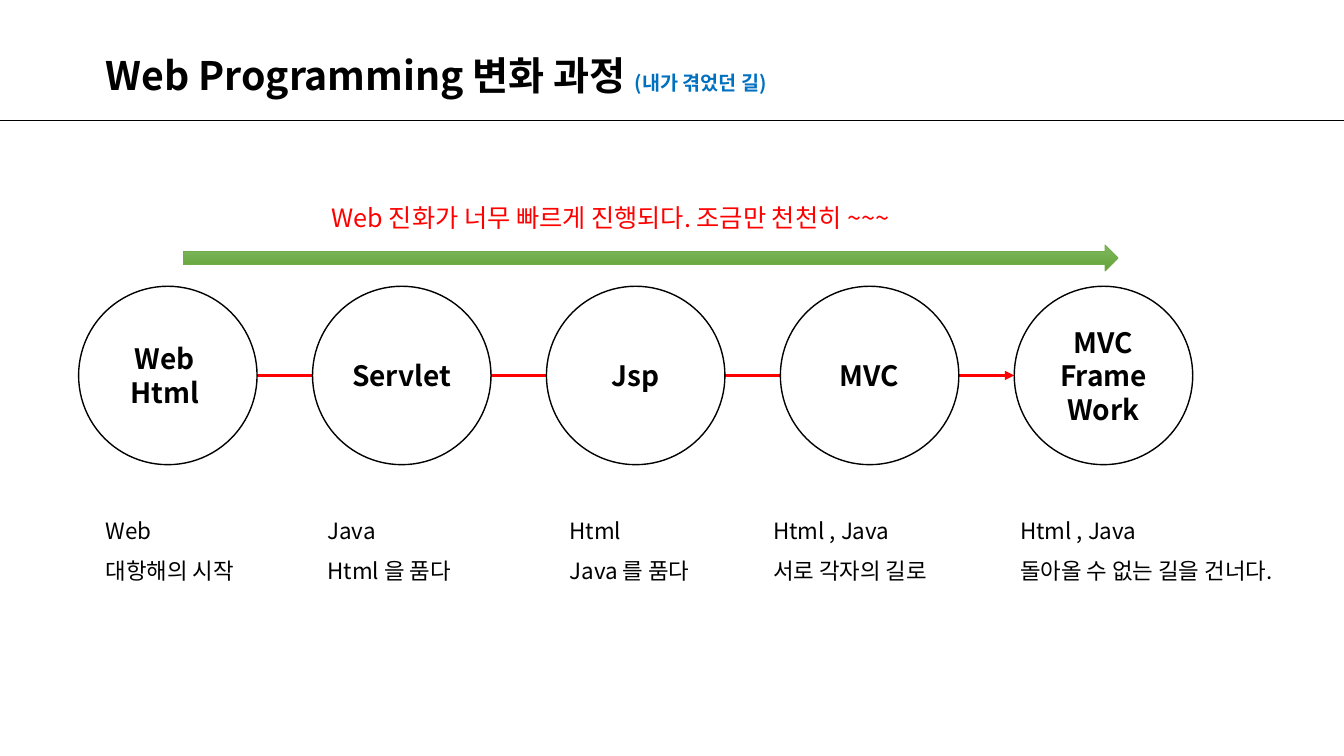
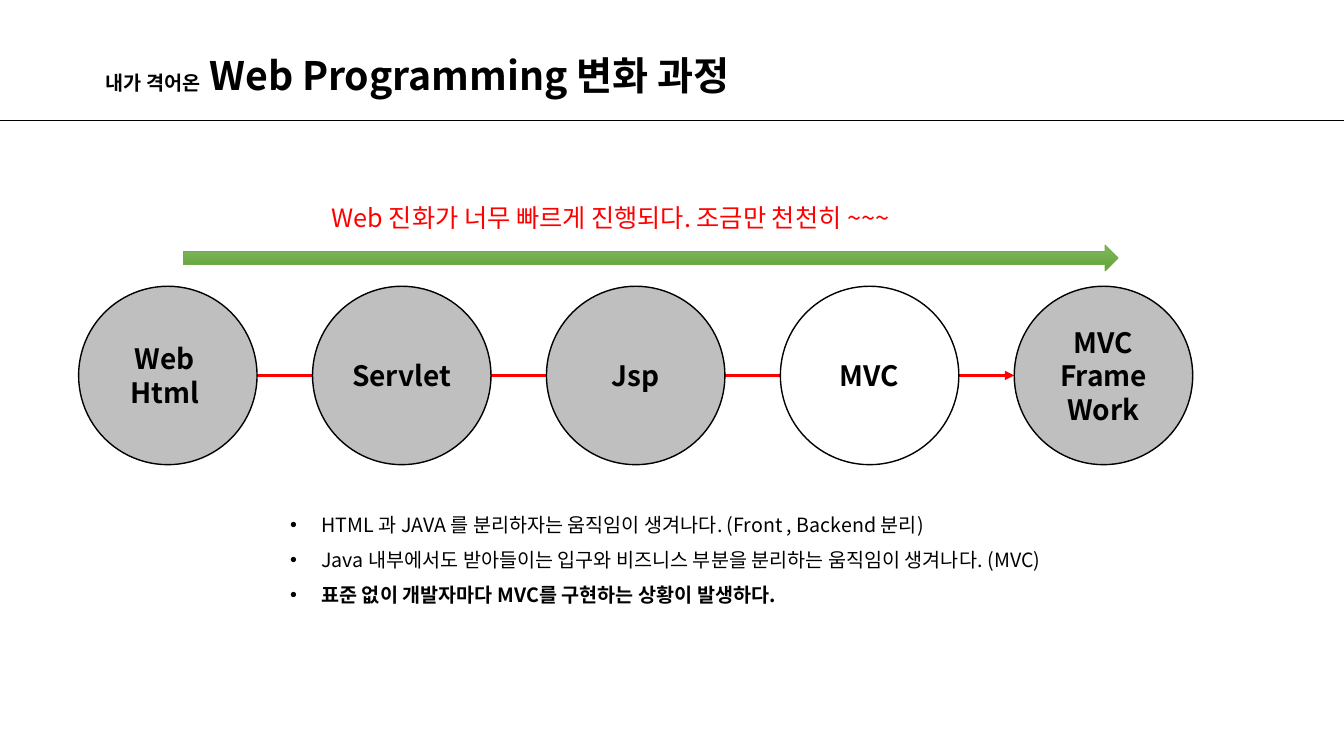
from lxml.etree import SubElement
from pptx import Presentation
from pptx.dml.color import RGBColor
from pptx.enum.shapes import MSO_CONNECTOR, MSO_SHAPE
from pptx.enum.text import MSO_ANCHOR, PP_ALIGN
from pptx.oxml.ns import qn
from pptx.util import Inches, Pt

BLACK = RGBColor(0x00, 0x00, 0x00)
WHITE = RGBColor(0xFF, 0xFF, 0xFF)
GREY = RGBColor(0xBF, 0xBF, 0xBF)
RED = RGBColor(0xFF, 0x00, 0x00)
BLUE = RGBColor(0x00, 0x70, 0xC0)
GREEN = RGBColor(0x70, 0xAD, 0x47)
LIGHT_GREEN = RGBColor(0x81, 0xB8, 0x61)
DARK_GREEN = RGBColor(0x62, 0xA3, 0x36)
FONT = "Noto Sans CJK KR"

WIDTH, HEIGHT = 13.33, 7.5
RULE_Y = 1.19
DIAMETER = 1.77
FIRST_LEFT, COLUMN = 0.78, 2.32
CIRCLE_TOP = 2.84
MIDDLE = CIRCLE_TOP + DIAMETER / 2
INDENT = 0.31

STAGES = [["Web ", "Html "], ["Servlet"], ["Jsp"], ["MVC"], ["MVC", "FrameWork"]]
SLOGAN = "Web 진화가 너무 빠르게 진행되다. 조금만 천천히 ~~~"

# Left, width and lines of the caption below each stage
CAPTIONS = [
    (0.95, 1.63, ["Web", "대항해의 시작"]),
    (3.15, 1.53, ["Java", "Html 을 품다"]),
    (5.55, 1.45, ["Html", "Java 를 품다"]),
    (7.57, 1.93, ["Html , Java", "서로 각자의 길로"]),
    (10.02, 3.03, ["Html , Java", "돌아올 수 없는 길을 건너다."]),
]
BULLETS = [
    ("HTML 과 JAVA 를 분리하자는 움직임이 생겨나다. (Front , Backend 분리)", False),
    ("Java 내부에서도 받아들이는 입구와 비즈니스 부분을 분리하는 움직임이 생겨나다. (MVC)", False),
    ("표준 없이 개발자마다 MVC를 구현하는 상황이 발생하다.", True),
]

# Title runs (text, size, colour) and the fill of each stage
PAGES = [
    ([("Web Programming 변화 과정 ", 28, BLACK), ("(내가 겪었던 길)", 14, BLUE)],
     [WHITE] * 5),
    ([("내가 격어온", 14, BLACK), (" Web Programming 변화 과정", 28, BLACK)],
     [GREY, GREY, GREY, WHITE, GREY]),
]


def write(shape, paragraphs, spacing=None, align=PP_ALIGN.LEFT):
    """Fill a shape with paragraphs, each a list of (text, size, colour, bold) runs."""
    frame = shape.text_frame
    frame.word_wrap = True
    for index, runs in enumerate(paragraphs):
        para = frame.paragraphs[0] if index == 0 else frame.add_paragraph()
        para.alignment = align
        if spacing:
            para.line_spacing = spacing
        for text, size, colour, bold in runs:
            span = para.add_run()
            span.text = text
            span.font.size = Pt(size)
            span.font.bold = bold
            span.font.color.rgb = colour
            span.font.name = FONT
            SubElement(span.font._element, qn("a:ea"), typeface=FONT)
    return frame


def add_line(page, left, right, y, colour, weight):
    line = page.shapes.add_connector(
        MSO_CONNECTOR.STRAIGHT, Inches(left), Inches(y), Inches(right), Inches(y))
    line.line.color.rgb = colour
    line.line.width = Pt(weight)
    SubElement(line._element.spPr, qn("a:effectLst"))
    return line


deck = Presentation()
deck.slide_width, deck.slide_height = Inches(WIDTH), Inches(HEIGHT)

for number, (title, fills) in enumerate(PAGES):
    page = deck.slides.add_slide(deck.slide_layouts[6])
    shapes = page.shapes

    # Title band
    add_line(page, 0, WIDTH, RULE_Y, BLACK, 0.5)
    box = shapes.add_textbox(Inches(0.95), Inches(0.46), Inches(7.41), Inches(0.57))
    write(box, [[(*run, True) for run in title]])

    # Chain of stages
    chain = add_line(page, FIRST_LEFT + DIAMETER, FIRST_LEFT + 4 * COLUMN, MIDDLE, RED, 2.25)
    SubElement(chain.line._get_or_add_ln(), qn("a:tailEnd"), type="triangle")
    for column, (lines, fill) in enumerate(zip(STAGES, fills)):
        circle = shapes.add_shape(
            MSO_SHAPE.OVAL, Inches(FIRST_LEFT + column * COLUMN), Inches(CIRCLE_TOP),
            Inches(DIAMETER), Inches(DIAMETER))
        circle.shadow.inherit = False
        circle.fill.solid()
        circle.fill.fore_color.rgb = fill
        circle.line.color.rgb = BLACK
        circle.line.width = Pt(1)
        frame = write(circle, [[(line, 20, BLACK, True)] for line in lines],
                      align=PP_ALIGN.CENTER)
        frame.vertical_anchor = MSO_ANCHOR.MIDDLE

    # Arrow of progress with its slogan
    arrow = shapes.add_shape(
        MSO_SHAPE.RIGHT_ARROW, Inches(1.82), Inches(2.43), Inches(9.27), Inches(0.26))
    arrow.shadow.inherit = False
    arrow.fill.gradient()
    arrow.fill.gradient_angle = 270
    for stop, colour in zip(arrow.fill.gradient_stops, (LIGHT_GREEN, DARK_GREEN)):
        stop.color.rgb = colour
    arrow.line.color.rgb = GREEN
    arrow.line.width = Pt(0.5)
    box = shapes.add_textbox(Inches(3.19), Inches(1.96), Inches(6.64), Inches(0.4))
    write(box, [[(SLOGAN, 18, RED, False)]])

    # Explanation below the chain
    if number == 0:
        for left, width, lines in CAPTIONS:
            box = shapes.add_textbox(Inches(left), Inches(4.95), Inches(width), Inches(0.91))
            write(box, [[(line, 16, BLACK, False)] for line in lines], spacing=1.5)
    else:
        box = shapes.add_textbox(Inches(2.78), Inches(4.92), Inches(8.37), Inches(1.16))
        frame = write(box, [[(text, 14, BLACK, bold)] for text, bold in BULLETS], spacing=1.5)
        for para in frame.paragraphs:
            properties = para._p.get_or_add_pPr()
            properties.set("marL", str(Inches(INDENT)))
            properties.set("indent", str(-Inches(INDENT)))
            SubElement(properties, qn("a:buFont"), typeface="Arial")
            SubElement(properties, qn("a:buChar"), char="•")

deck.save("out.pptx")
